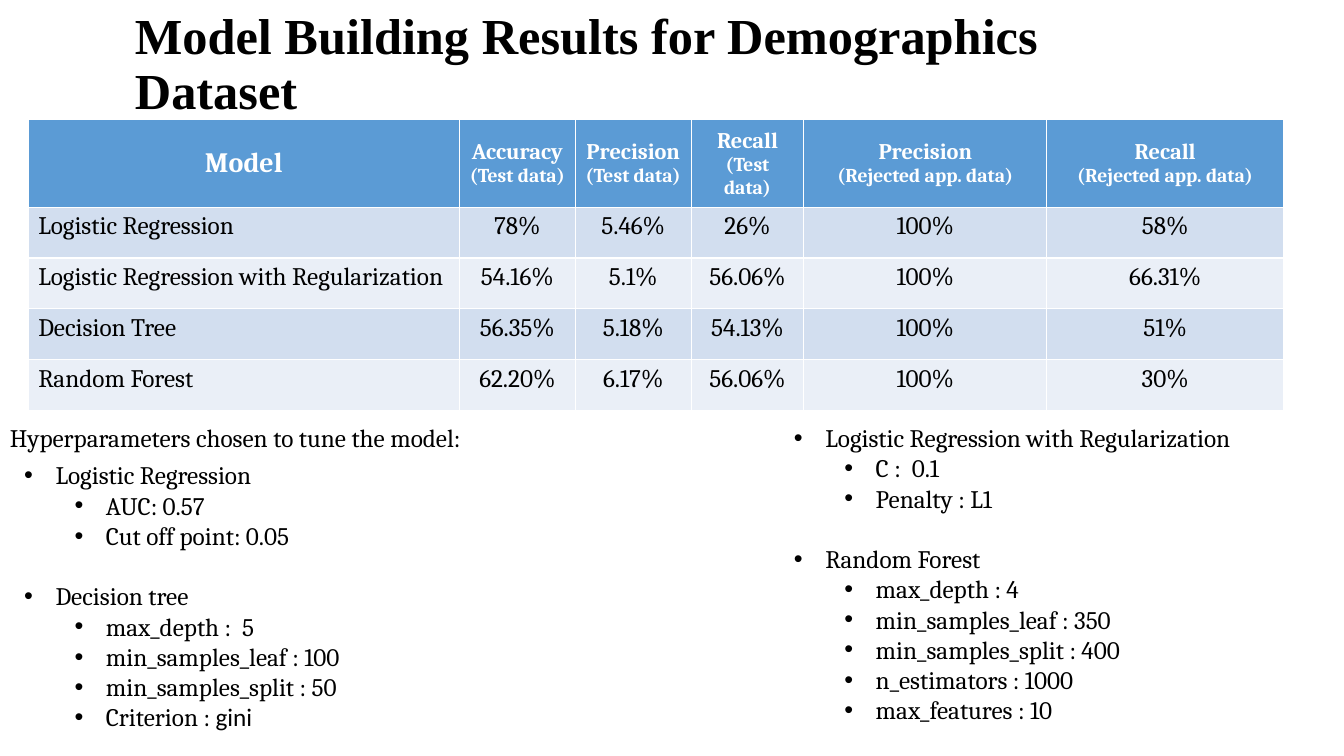
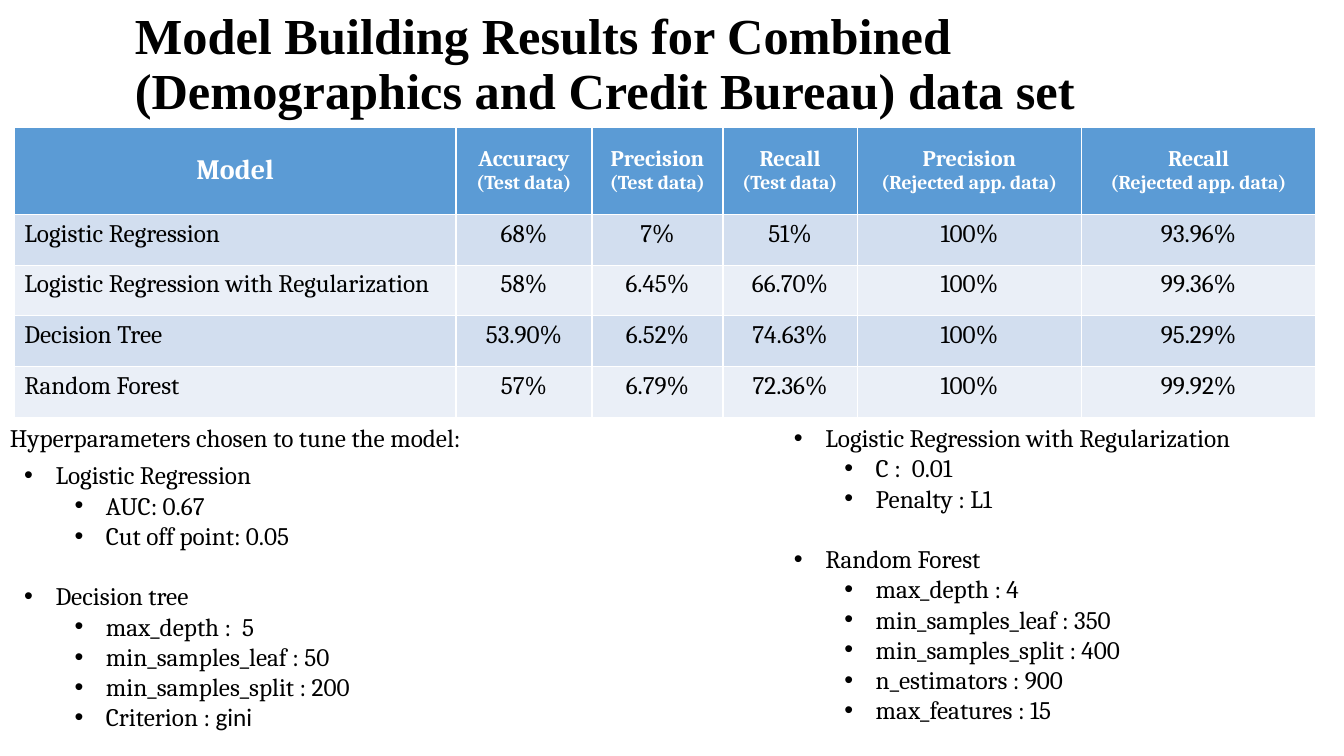
import pptx
import pptx.dml.color
import pptx.enum.text
import pptx.util
from lxml import etree
from pptx.oxml import ns

Cm = pptx.util.Cm
Pt = pptx.util.Pt
RGBColor = pptx.dml.color.RGBColor
ALIGN = pptx.enum.text.PP_ALIGN
ANCHOR = pptx.enum.text.MSO_ANCHOR

BLACK = RGBColor(0x00, 0x00, 0x00)
WHITE = RGBColor(0xFF, 0xFF, 0xFF)
HEADER_BLUE = RGBColor(0x5B, 0x9B, 0xD5)
BANDS = (RGBColor(0xD2, 0xDE, 0xEF), RGBColor(0xEA, 0xEF, 0xF7))

TITLE_FONT = "Times New Roman"
BODY_FONT = "Cambria"
VALUE_FONT = "Calibri"

HANGING = 0.79
LEVEL_INDENTS = (0.79, 2.06)
GROUP_GAP = Pt(21.6)
HEADER_HEIGHT = 2.2
ROW_HEIGHT = 1.28

HEADERS = (
    ("Model",),
    ("Accuracy", "(Test data)"),
    ("Precision", "(Test data)"),
    ("Recall", "(Test data)"),
    ("Precision", "(Rejected app. data)"),
    ("Recall", "(Rejected app. data)"),
)
MODELS = (
    "Logistic Regression",
    "Logistic Regression with Regularization",
    "Decision Tree",
    "Random Forest",
)


def add_run(p, text, size=18, font=BODY_FONT, color=BLACK, bold=False):
    r = p.add_run()
    r.text = text
    r.font.size = Pt(size)
    r.font.name = font
    r.font.color.rgb = color
    r.font.bold = bold


def add_text_frame(slide, left, top, width, height):
    sp = slide.shapes.add_textbox(Cm(left), Cm(top), Cm(width), Cm(height))
    tf = sp.text_frame
    tf.word_wrap = True
    return tf


def next_paragraph(tf):
    """Return the first paragraph while it is empty, else a new one."""
    first = tf.paragraphs[0]
    return tf.add_paragraph() if first.runs else first


def add_title(slide, text):
    tf = add_text_frame(slide, 3.15, 0.46, 25.88, 2.39)
    tf.vertical_anchor = ANCHOR.MIDDLE
    p = tf.paragraphs[0]
    p.line_spacing = 0.9
    add_run(p, text, size=36, font=TITLE_FONT, bold=True)


def set_bullet(p, level):
    p.level = level
    pPr = p._p.get_or_add_pPr()
    pPr.set("marL", str(Cm(LEVEL_INDENTS[level])))
    pPr.set("indent", str(-Cm(HANGING)))
    etree.SubElement(pPr, ns.qn("a:buFont")).set("typeface", "Arial")
    etree.SubElement(pPr, ns.qn("a:buChar")).set("char", "•")


def add_parameters(slide, box, groups):
    """Write each model as a bullet with its parameters one level below."""
    tf = add_text_frame(slide, *box)
    for i, (model, parameters) in enumerate(groups):
        p = next_paragraph(tf)
        if i:
            p.space_before = GROUP_GAP
        set_bullet(p, 0)
        add_run(p, model)
        for parameter in parameters:
            p = next_paragraph(tf)
            set_bullet(p, 1)
            add_run(p, parameter)
    return tf


def fill_cell(cell, color):
    cell.fill.solid()
    cell.fill.fore_color.rgb = color


def add_results_table(slide, left, top, widths, results):
    rows = len(results) + 1
    height = HEADER_HEIGHT + ROW_HEIGHT * len(results)
    table = slide.shapes.add_table(
        rows, len(widths), Cm(left), Cm(top), Cm(sum(widths)), Cm(height)).table
    for column, width in zip(table.columns, widths):
        column.width = Cm(width)
    for i, row in enumerate(table.rows):
        row.height = Cm(ROW_HEIGHT if i else HEADER_HEIGHT)

    for col, lines in enumerate(HEADERS):
        cell = table.cell(0, col)
        fill_cell(cell, HEADER_BLUE)
        cell.vertical_anchor = ANCHOR.MIDDLE
        sizes = (16, 14) if col else (20,)
        for line, size in zip(lines, sizes):
            p = next_paragraph(cell.text_frame)
            p.alignment = ALIGN.CENTER
            add_run(p, line, size=size, color=WHITE, bold=True)

    for i, (model, values) in enumerate(zip(MODELS, results)):
        for col, text in enumerate((model, *values)):
            cell = table.cell(i + 1, col)
            fill_cell(cell, BANDS[i % 2])
            p = cell.text_frame.paragraphs[0]
            p.alignment = ALIGN.CENTER if col else ALIGN.LEFT
            add_run(p, text)


def add_hyperparameters(slide, auc, tree_leaf, tree_split, c, estimators, features):
    left = add_parameters(slide, (0.36, 11.46, 13.13, 7.19), (
        ("Logistic Regression", (f"AUC: {auc}", "Cut off point: 0.05")),
        ("Decision tree", (
            "max_depth :  5",
            f"min_samples_leaf : {tree_leaf}",
            f"min_samples_split : {tree_split}",
            "Criterion : ",
        )),
    ))
    add_run(left.paragraphs[-1], "gini", font=VALUE_FONT)
    add_parameters(slide, (19.76, 10.52, 13.39, 7.95), (
        ("Logistic Regression with Regularization", (f"C :  {c}", "Penalty : L1")),
        ("Random Forest", (
            "max_depth : 4",
            "min_samples_leaf : 350",
            "min_samples_split : 400",
            f"n_estimators : {estimators}",
            f"max_features : {features}",
        )),
    ))
    tf = add_text_frame(slide, 0, 10.52, 18.21, 1.02)
    add_run(tf.paragraphs[0], "Hyperparameters chosen to tune the model:")


def add_results_slide(prs, title, table, hyperparameters):
    slide = prs.slides.add_slide(prs.slide_layouts[6])
    add_title(slide, title)
    add_results_table(slide, **table)
    add_hyperparameters(slide, **hyperparameters)


def main():
    prs = pptx.Presentation()
    prs.slide_width = Cm(33.87)
    prs.slide_height = Cm(19.05)

    add_results_slide(
        prs,
        "Model Building Results for Demographics Dataset",
        dict(left=0.71, top=3.02, widths=(10.87, 2.92, 2.92, 2.84, 6.12, 5.97), results=(
            ("78%", "5.46%", "26%", "100%", "58%"),
            ("54.16%", "5.1%", "56.06%", "100%", "66.31%"),
            ("56.35%", "5.18%", "54.13%", "100%", "51%"),
            ("62.20%", "6.17%", "56.06%", "100%", "30%"),
        )),
        dict(auc="0.57", tree_leaf=100, tree_split=50, c="0.1",
             estimators=1000, features=10),
    )
    add_results_slide(
        prs,
        "Model Building Results for Combined (Demographics and Credit Bureau) data set",
        dict(left=0.36, top=3.2, widths=(11.13, 3.43, 3.3, 3.38, 5.66, 5.89), results=(
            ("68%", "7%", "51%", "100%", "93.96%"),
            ("58%", "6.45%", "66.70%", "100%", "99.36%"),
            ("53.90%", "6.52%", "74.63%", "100%", "95.29%"),
            ("57%", "6.79%", "72.36%", "100%", "99.92%"),
        )),
        dict(auc="0.67", tree_leaf=50, tree_split=200, c="0.01",
             estimators=900, features=15),
    )
    prs.save("out.pptx")


if __name__ == "__main__":
    main()
